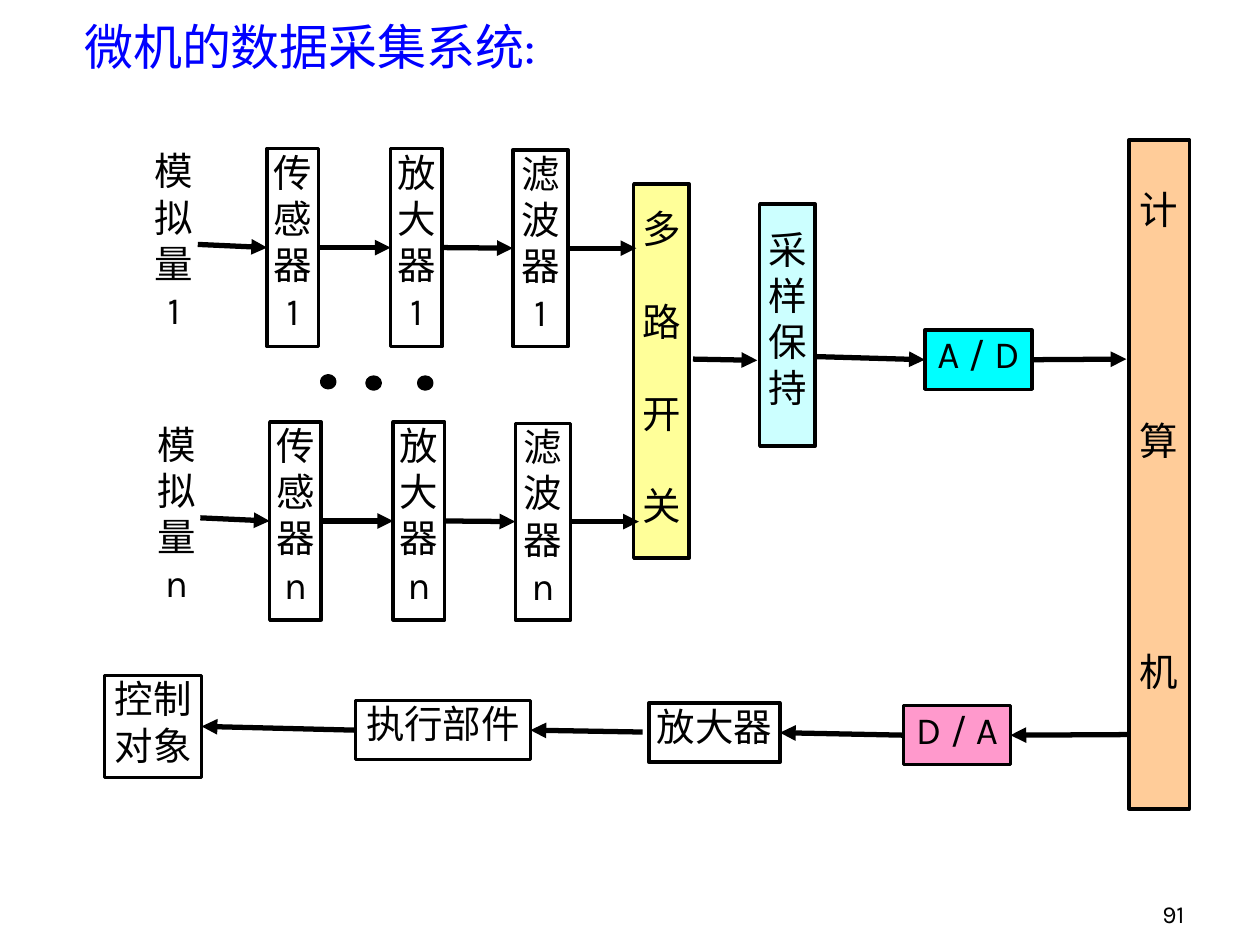
from lxml import etree
from pptx import Presentation
from pptx import util as u
from pptx.dml.color import RGBColor
from pptx.enum import shapes, text
from pptx.oxml.ns import qn

FONT = "Karla"
BLACK = "000000"
SIZE = 22
SNAP = 0.035   # an arrow end this close to the middle of a side is joined

# Content: lines, (left, top, width, height), fill, top inset, gap between lines
BLOCKS = [
    (["控制", "对象"], (0.83, 5.36, 0.77, 0.81), None, 0, 0),
    (["执行部件"], (2.82, 5.56, 1.39, 0.47), None, 0, 0),
    (["放大器"], (5.15, 5.58, 1.04, 0.47), None, 0, 0),
    (["D / A"], (7.17, 5.6, 0.85, 0.47), "FF99CC", 0, 0),
    (["A / D"], (7.34, 2.62, 0.85, 0.47), "00FFFF", 0, 0),
    (["计", "算", "机"], (8.96, 1.11, 0.48, 5.31), "FFCC99", 0.37, 105.6),
    (["多", "路", "开", "关"], (5.03, 1.46, 0.44, 2.97), "FFFF99", 0.17, 26.4),
    (["采", "样", "保持"], (6.03, 1.62, 0.44, 1.92), "CCFFFF", 0.17, 0),
]
ARROWS = [
    ((5.5, 2.85), (6.01, 2.86)),
    ((6.47, 2.83), (7.31, 2.83)),
    ((8.19, 2.83), (8.94, 2.85)),
    ((8.97, 5.83), (8.02, 5.83)),
    ((7.15, 5.83), (6.17, 5.83)),
    ((5.1, 5.81), (4.22, 5.79)),
    ((2.8, 5.78), (1.63, 5.78)),
]

# One input channel, repeated with a channel mark and an offset
CHANNELS = [("1", 0, 0), ("n", 0.02, 2.17)]
SOURCE = (["模拟", "量"], (1.17, 1.17, 0.42, 1.57))
STAGES = [
    ("传感器", (2.12, 1.18, 0.41, 1.57)),
    ("放大器", (3.1, 1.18, 0.41, 1.57)),
    ("滤波器", (4.07, 1.19, 0.44, 1.56)),
]
CHANNEL_ARROWS = [
    ((1.57, 1.94), (2.12, 1.96)),
    ((2.54, 1.94), (3.09, 1.96)),
    ((3.51, 1.94), (4.05, 1.96)),
    ((4.51, 1.96), (5.05, 1.97)),
]
DOTS = [(2.56, 2.99), (2.92, 3), (3.33, 3)]

prs = Presentation()
prs.slide_width, prs.slide_height = u.Inches(10), u.Inches(7.5)
s = prs.slides.add_slide(prs.slide_layouts[6])
blocks = []


def color(value):
    return RGBColor.from_string(value)


def inches(values):
    return [u.Inches(v) for v in values]


def write(sp, lines, size=SIZE, c=BLACK, align=text.PP_ALIGN.CENTER,
          anchor=text.MSO_ANCHOR.TOP, insets=(0, 0, 0, 0), gap=0):
    tf = sp.text_frame
    tf.word_wrap = True
    tf.vertical_anchor = anchor
    (tf.margin_left, tf.margin_top,
     tf.margin_right, tf.margin_bottom) = inches(insets)
    for i, line in enumerate(lines):
        p = tf.add_paragraph() if i else tf.paragraphs[0]
        p.alignment = align
        if i and gap:
            p.space_before = u.Pt(gap)
        r = p.add_run()
        r.text = line
        r.font.size, r.font.name = u.Pt(size), FONT
        r.font.color.rgb = color(c)


def label(lines, at, **fmt):
    write(s.shapes.add_textbox(*inches(at)), lines, **fmt)


def shape(kind, at, fill, width):
    sp = s.shapes.add_shape(kind, *inches(at))
    sp.shadow.inherit = False
    if fill:
        sp.fill.solid()
        sp.fill.fore_color.rgb = color(fill)
    else:
        sp.fill.background()
    sp.line.color.rgb = color(BLACK)
    sp.line.width = u.Pt(width)
    return sp


def block(lines, at, fill=None, top=0, gap=0):
    sp = shape(shapes.MSO_SHAPE.RECTANGLE, at, fill, 2)
    write(sp, lines, insets=(0, top, 0, 0), gap=gap)
    blocks.append((sp, at))


def join(connect, point):
    for sp, (left, top, width, height) in blocks:
        for side, x in ((1, left), (3, left + width)):
            if (abs(point[0] - x) < SNAP
                    and abs(point[1] - top - height / 2) < SNAP):
                connect(sp, side)


def arrow(start, end):
    cn = s.shapes.add_connector(shapes.MSO_CONNECTOR.STRAIGHT,
                                *inches(start + end))
    cn.line.color.rgb = color(BLACK)
    cn.line.width = u.Pt(3)
    join(cn.begin_connect, start)
    join(cn.end_connect, end)
    etree.SubElement(cn.line._get_or_add_ln(), qn("a:tailEnd"), type="triangle")
    etree.SubElement(cn._element.spPr, qn("a:effectLst"))


def moved(at, dx, dy):
    return (at[0] + dx, at[1] + dy) + tuple(at[2:])


# Title and page number
pad = (0.1, 0.05, 0.1, 0.05)
label(["微机的数据采集系统:"], (0.42, 0.08, 4.08, 0.57), size=28, c="0000FF",
      insets=pad)
label(["91"], (7.42, 6.92, 2.08, 0.5), size=14, align=text.PP_ALIGN.RIGHT,
      anchor=text.MSO_ANCHOR.BOTTOM, insets=pad)

# Blocks of the main chain and the control loop
for item in BLOCKS:
    block(*item)
for ends in ARROWS:
    arrow(*ends)

# Input channels
for mark, dx, dy in CHANNELS:
    label(SOURCE[0] + [mark], moved(SOURCE[1], dx, dy))
    for name, at in STAGES:
        block(list(name) + [mark], moved(at, dx, dy))
    for start, end in CHANNEL_ARROWS:
        arrow(moved(start, dx, dy), moved(end, dx, dy))

# Dots between the channels
for x, y in DOTS:
    shape(shapes.MSO_SHAPE.OVAL, (x, y, 0.09, 0.08), BLACK, 3)

prs.save("out.pptx")
